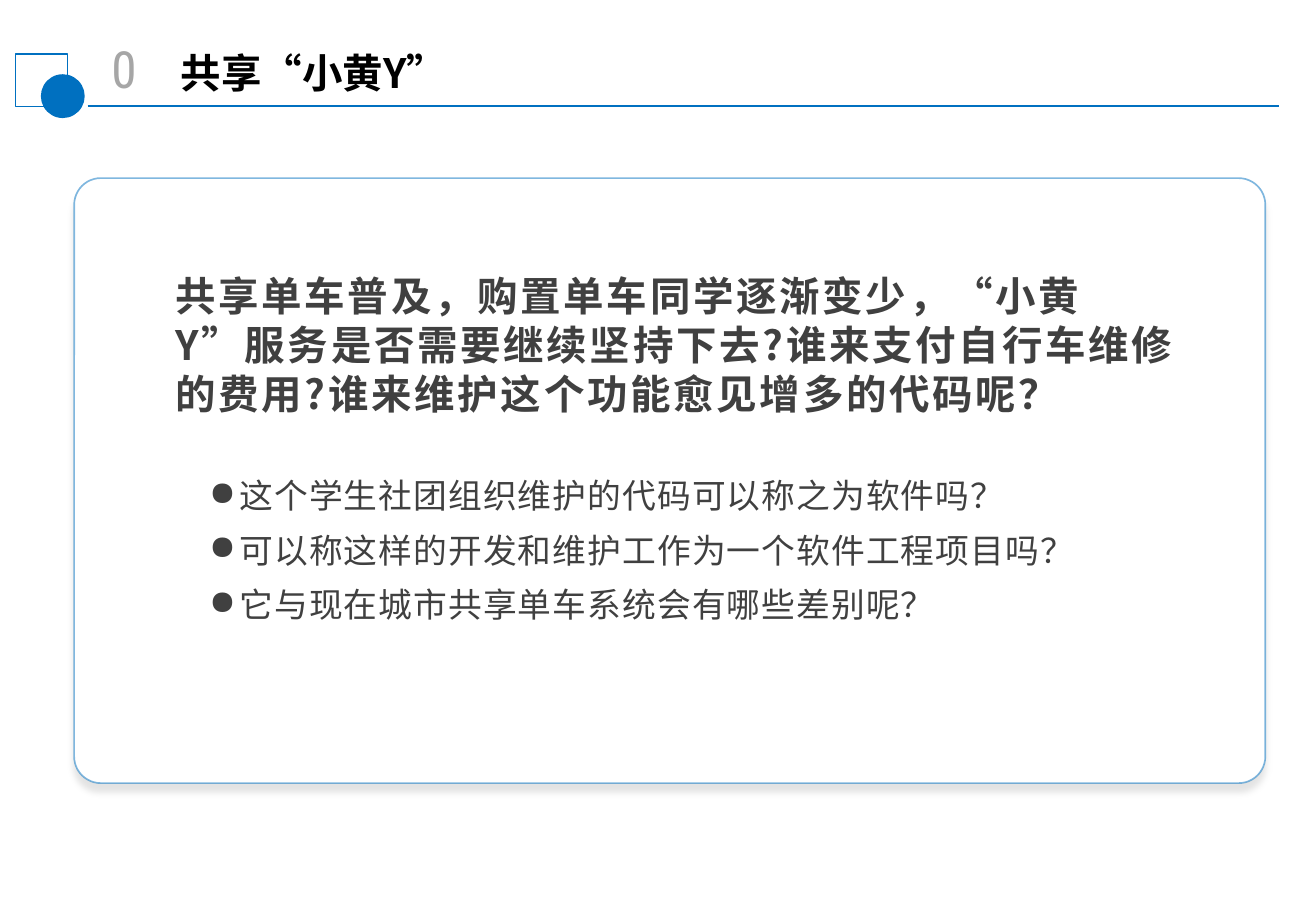
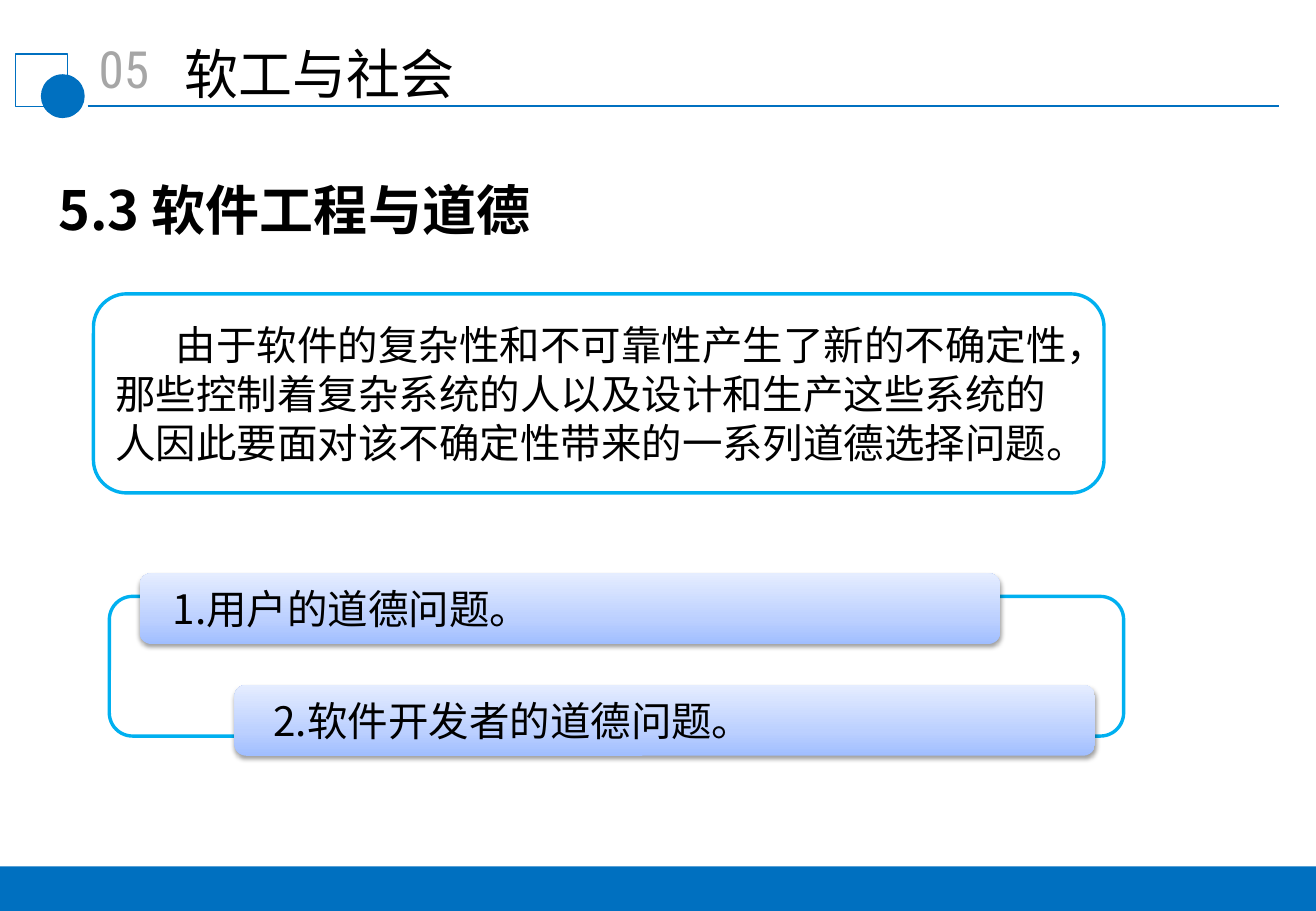
from copy import deepcopy

from lxml.etree import SubElement
from pptx import Presentation
from pptx.dml.color import RGBColor
from pptx.enum.lang import MSO_LANGUAGE_ID
from pptx.enum.shapes import MSO_CONNECTOR, MSO_SHAPE
from pptx.enum.text import MSO_ANCHOR, PP_ALIGN
from pptx.oxml.ns import qn
from pptx.util import Pt

BLUE = RGBColor(0x00, 0x70, 0xC0)
SKY = RGBColor(0x00, 0xB0, 0xF0)
WHITE = RGBColor(0xFF, 0xFF, 0xFF)
BLACK = RGBColor(0x00, 0x00, 0x00)
GREY = RGBColor(0xA6, 0xA6, 0xA6)
DARK = RGBColor(0x40, 0x40, 0x40)
BAR_GRADIENT = [
    (0, RGBColor(0xA0, 0xBE, 0xFF)),
    (0.35, RGBColor(0xBC, 0xD0, 0xFF)),
    (1, RGBColor(0xE5, 0xED, 0xFF)),
]
CJK_FONT = "Noto Sans CJK SC"
LINE_HEIGHT = 1.21


def add_box(slide, preset, left, top, width, height, fill=None, line=None,
            line_width=1, line_alpha=None, shadow=None, margins=(0, 0)):
    """Add a preset shape, or a text box if preset is None.

    fill is a colour or a list of gradient stops; shadow is (alpha %, blur, distance);
    margins are the left and right text insets.
    """
    area = Pt(left), Pt(top), Pt(width), Pt(height)
    if preset is None:
        shape = slide.shapes.add_textbox(*area)
    else:
        shape = slide.shapes.add_shape(preset, *area)
        shape.shadow.inherit = False
        if isinstance(fill, list):
            shape.fill.gradient()
            shape.fill.gradient_angle = 90
            stop_list = shape.element.spPr.find(".//" + qn("a:gsLst"))
            stop_list.append(deepcopy(stop_list[0]))
            for stop, (position, color) in zip(shape.fill.gradient_stops, fill):
                stop.position = position
                stop.color.rgb = color
        elif fill is None:
            shape.fill.background()
        else:
            shape.fill.solid()
            shape.fill.fore_color.rgb = fill
        if line is None:
            shape.line.fill.background()
        else:
            shape.line.color.rgb = line
            shape.line.width = Pt(line_width)
        if line_alpha:
            color = shape.element.spPr.find(qn("a:ln")).find(".//" + qn("a:srgbClr"))
            SubElement(color, qn("a:alpha"), val=str(line_alpha * 1000))
        if shadow:
            alpha, blur, distance = shadow
            effects = shape.element.spPr.find(qn("a:effectLst"))
            outer = SubElement(effects, qn("a:outerShdw"), blurRad=str(Pt(blur)),
                               dist=str(Pt(distance)), dir="5400000", rotWithShape="0")
            color = SubElement(outer, qn("a:srgbClr"), val="000000")
            SubElement(color, qn("a:alpha"), val=str(alpha * 1000))
        shape.text_frame.vertical_anchor = MSO_ANCHOR.MIDDLE
    frame = shape.text_frame
    frame.word_wrap = True
    frame.margin_left, frame.margin_right = (Pt(margin) for margin in margins)
    frame.margin_top = frame.margin_bottom = 0
    return shape


def write(shape, text, size=24, font=CJK_FONT, color=BLACK, bold=False, tracking=0,
          align=PP_ALIGN.LEFT, after=0, left=0, indent=0, bullet=None):
    """Add one paragraph to the shape, filling the empty first one before any other."""
    frame = shape.text_frame
    paragraph = frame.paragraphs[0]
    if paragraph.runs:
        paragraph = frame.add_paragraph()
    properties = paragraph._p.get_or_add_pPr()
    properties.set("marL", str(Pt(left)))
    properties.set("indent", str(Pt(indent)))
    if bullet:
        SubElement(properties, qn("a:buChar"), char=bullet)
    paragraph.alignment = align
    paragraph.line_spacing = Pt(round(size * LINE_HEIGHT, 1))
    paragraph.space_after = Pt(after)
    run = paragraph.add_run()
    run.text = text
    run.font.size = Pt(size)
    run.font.bold = bold
    run.font.name = font
    run.font.color.rgb = color
    run.font.language_id = MSO_LANGUAGE_ID.SIMPLIFIED_CHINESE
    run_properties = run._r.get_or_add_rPr()
    SubElement(run_properties, qn("a:ea"), typeface=CJK_FONT)
    if tracking:
        run_properties.set("spc", str(round(tracking * 100)))


presentation = Presentation()
presentation.slide_width = Pt(780)
presentation.slide_height = Pt(540)

# Shared header: rule, square with dot, chapter number, title
slides = []
for number, title, title_format, title_left, title_top in [
    ("0", "共享“小黄Y”", {"bold": True}, 107.3, 28.5),
    ("05", "软工与社会", {"size": 32, "font": "Arial"}, 109.4, 23.6),
]:
    slide = presentation.slides.add_slide(presentation.slide_layouts[6])
    slides.append(slide)
    rule = slide.shapes.add_connector(MSO_CONNECTOR.STRAIGHT, Pt(52), Pt(63), Pt(758), Pt(63))
    rule.line.color.rgb = BLUE
    rule.line.width = Pt(1.25)
    SubElement(rule._element.spPr, qn("a:effectLst"))
    add_box(slide, MSO_SHAPE.RECTANGLE, 9, 32, 31, 31, line=BLUE, line_width=0.75)
    add_box(slide, MSO_SHAPE.OVAL, 24.2, 44, 26, 26, fill=BLUE)
    number_box = add_box(slide, None, 37.5, 22, 72, 38)
    write(number_box, number, size=30.4, font="Roboto Condensed", color=GREY,
          align=PP_ALIGN.CENTER)
    title_box = add_box(slide, None, title_left, title_top, 640, 36)
    write(title_box, title, **title_format)

sharing_slide, ethics_slide = slides

# Slide 1: question card
card = add_box(sharing_slide, MSO_SHAPE.ROUNDED_RECTANGLE, 44, 105.6, 706, 358.6, fill=WHITE,
               line=BLUE, line_alpha=50, shadow=(11, 4, 6))
card.adjustments[0] = 0.044
questions = add_box(sharing_slide, None, 78, 160.4, 623, 220, margins=(4, 4))
write(questions, "共享单车普及，购置单车同学逐渐变少，“小黄Y”服务是否需要继续坚持下去?"
      "谁来支付自行车维修的费用?谁来维护这个功能愈见增多的代码呢？",
      color=DARK, bold=True, tracking=1.6, after=34, left=22)
for question in [
    "这个学生社团组织维护的代码可以称之为软件吗？",
    "可以称这样的开发和维护工作为一个软件工程项目吗？",
    "它与现在城市共享单车系统会有哪些差别呢？",
]:
    write(questions, question, size=20, color=DARK, tracking=0.6, after=8,
          left=60, indent=-18, bullet="●")

# Slide 2: statement and two ethical issues
heading = add_box(ethics_slide, None, 34.6, 104.4, 330, 40)
write(heading, "5.3 软件工程与道德", size=32, bold=True)

statement = add_box(ethics_slide, MSO_SHAPE.ROUNDED_RECTANGLE, 55.4, 174.2, 599, 118,
                    fill=WHITE, line=SKY, line_width=2, margins=(7.2, 7.2))
write(statement, "由于软件的复杂性和不可靠性产生了新的不确定性，那些控制着复杂系统的人以及"
      "设计和生产这些系统的人因此要面对该不确定性带来的一系列道德选择问题。", indent=36)

add_box(ethics_slide, MSO_SHAPE.ROUNDED_RECTANGLE, 64.8, 353.5, 601.2, 82.8,
        fill=WHITE, line=SKY, line_width=2)
for issue, bar_left, bar_top, text_margin in [
    ("1.用户的道德问题。", 82.8, 339.8, 17.5),
    ("2.软件开发者的道德问题。", 139, 406, 21),
]:
    bar = add_box(ethics_slide, MSO_SHAPE.ROUNDED_RECTANGLE, bar_left, bar_top, 510, 42,
                  fill=BAR_GRADIENT, shadow=(38, 3.1, 1.6), margins=(text_margin, 18))
    write(bar, issue)

add_box(ethics_slide, MSO_SHAPE.RECTANGLE, 0, 513.5, 780, 26.5, fill=BLUE)

presentation.save("out.pptx")
